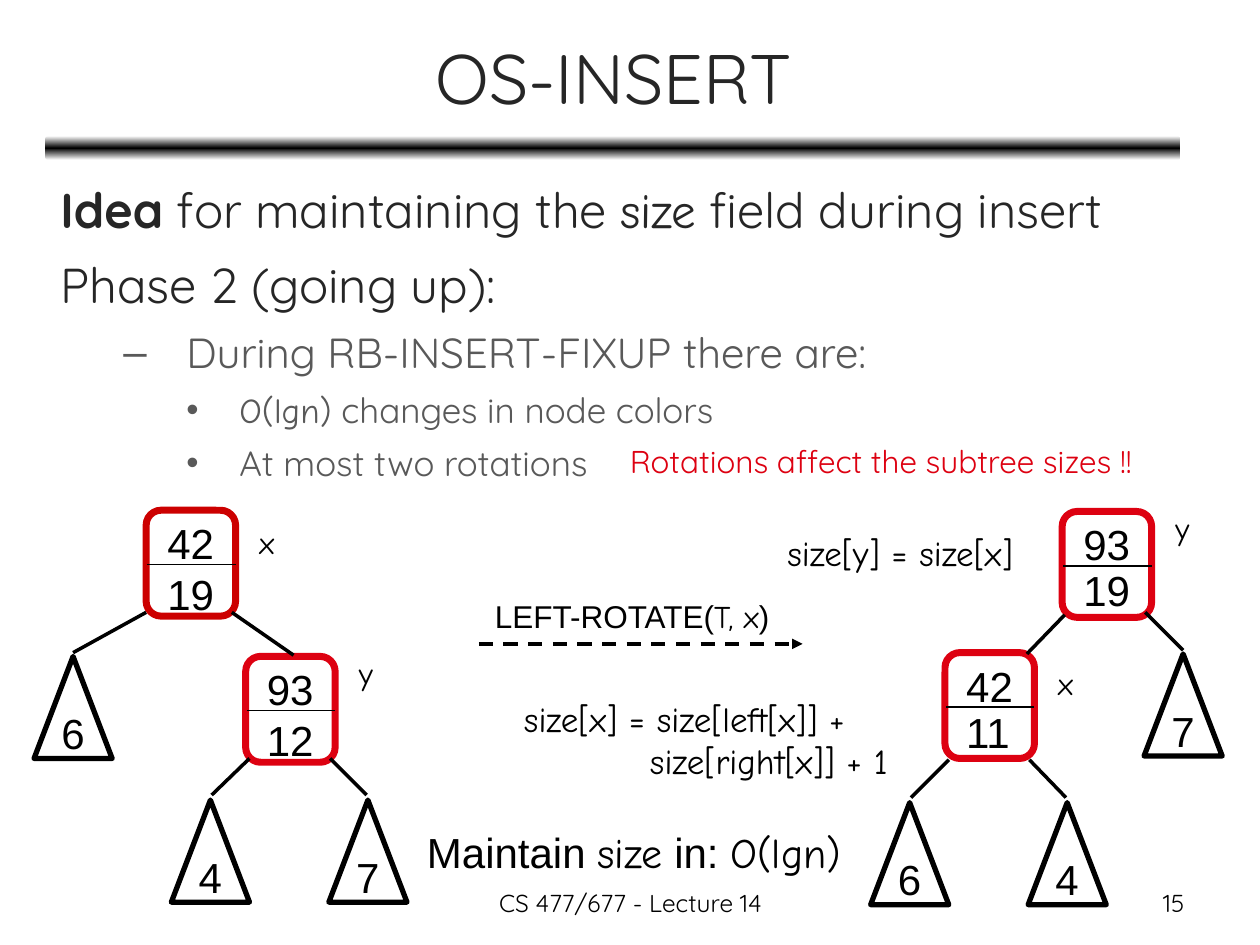
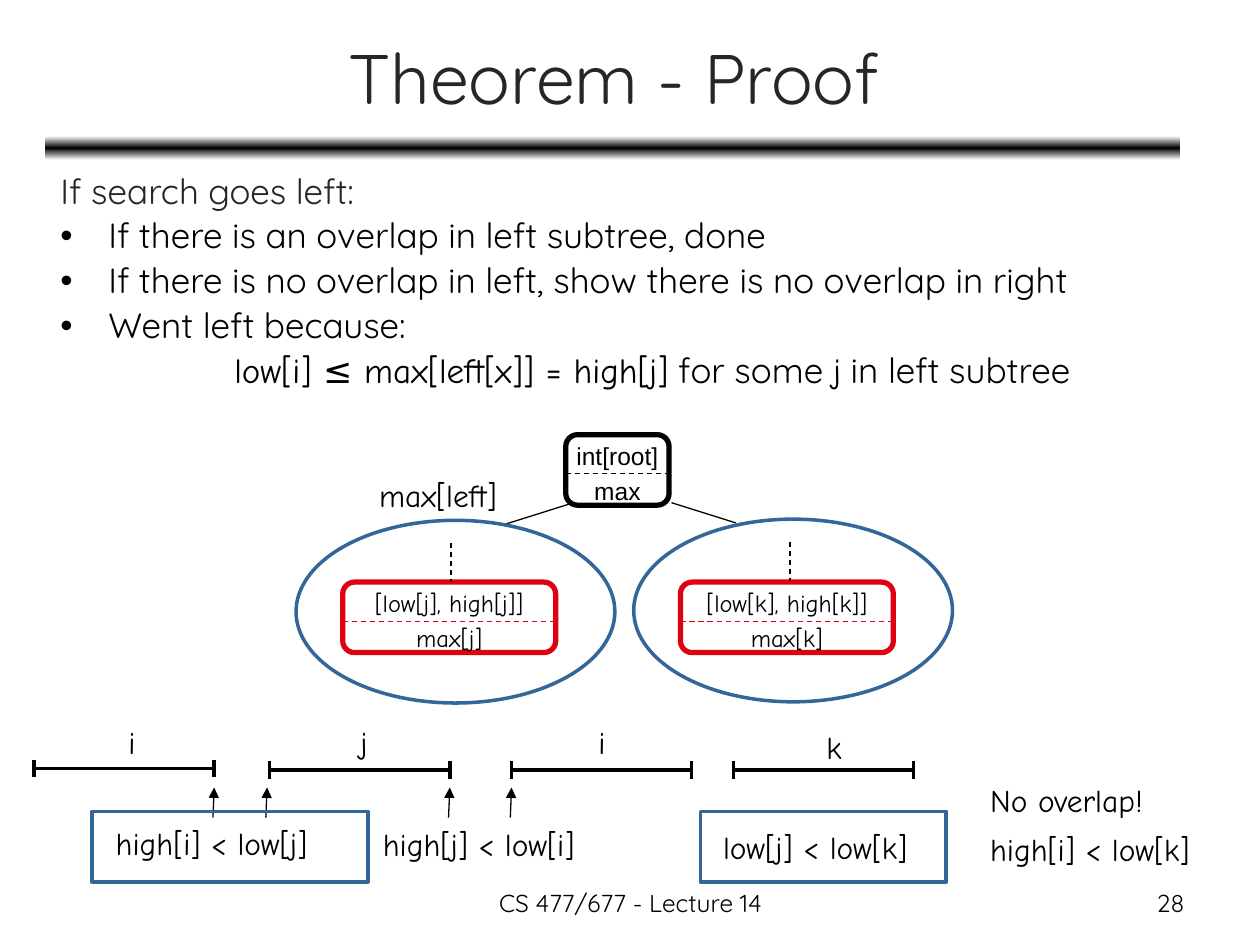
"""Build two lecture slides on augmented search trees."""
from copy import deepcopy

from lxml.etree import SubElement
from pptx import Presentation
from pptx.dml.color import RGBColor
from pptx.enum.dml import MSO_LINE
from pptx.enum.shapes import MSO_CONNECTOR, MSO_SHAPE as SHAPE
from pptx.enum.text import MSO_ANCHOR as ANCHOR, MSO_AUTO_SIZE as AUTO_SIZE, PP_ALIGN as ALIGN
from pptx.oxml.ns import qn
from pptx.util import Pt

EMU_PER_PX = 9144
COLORS = {
    "black": "000000", "white": "FFFFFF", "heading": "262626", "detail": "595959",
    "red": "DD0111", "dark red": "CC0000", "blue": "336699",
}
SANS, HAND, PLAIN = "Quicksand", "Comic Neue", "Arial"
BAR_STOPS = [(0, "white"), (0.5, "black"), (1, "white")]


def px(*lengths):
    return [length * EMU_PER_PX for length in lengths]


def rgb(name):
    return RGBColor.from_string(COLORS[name])


def write(frame, *runs, size=18, font=HAND, color="black", align=ALIGN.LEFT,
          spacing=None, level=0, margin=0, hanging=0, bullet=False):
    """Append a paragraph; a run is a string or a (string, font, bold) tuple."""
    paragraph = frame.add_paragraph() if frame.text else frame.paragraphs[0]
    paragraph.alignment = align
    paragraph.level = level
    if spacing:
        paragraph.line_spacing = spacing
    properties = paragraph._p.get_or_add_pPr()
    properties.set("marL", str(margin * EMU_PER_PX))
    properties.set("indent", str(-hanging * EMU_PER_PX))
    if not bullet:
        SubElement(properties, qn("a:buNone"))
    for item in runs:
        text, face, bold = (item, font, False) if isinstance(item, str) else item
        run = paragraph.add_run()
        run.text = text
        run.font.name = face
        run.font.size = Pt(size)
        run.font.bold = bold
        run.font.color.rgb = rgb(color)


def add_label(slide, box, *runs, wrap=False, **text_format):
    frame = slide.shapes.add_textbox(*px(*box)).text_frame
    frame.word_wrap = wrap
    frame.auto_size = AUTO_SIZE.NONE if wrap else AUTO_SIZE.SHAPE_TO_FIT_TEXT
    write(frame, *runs, **text_format)
    return frame


def add_outline(slide, kind, box, color="black", width=3, lines=(), **text_format):
    shape = slide.shapes.add_shape(kind, *px(*box))
    shape.shadow.inherit = False
    shape.fill.background()
    shape.line.color.rgb = rgb(color)
    shape.line.width = Pt(width)
    frame = shape.text_frame
    frame.word_wrap = False
    frame.vertical_anchor = ANCHOR.MIDDLE
    for line in lines:
        write(frame, line, align=ALIGN.CENTER, **text_format)


def add_line(slide, start, end, width=0.75, color="black", dashed=False, arrow=False):
    connector = slide.shapes.add_connector(MSO_CONNECTOR.STRAIGHT, *px(*start, *end))
    connector.line.color.rgb = rgb(color)
    connector.line.width = Pt(width)
    if dashed:
        connector.line.dash_style = MSO_LINE.DASH
    if arrow:
        SubElement(connector.line._get_or_add_ln(), qn("a:tailEnd"), type="triangle")
    SubElement(connector._element.spPr, qn("a:effectLst"))


def add_bar(slide):
    bar = slide.shapes.add_shape(SHAPE.ROUNDED_RECTANGLE, *px(36, 108, 901, 19))
    bar.shadow.inherit = False
    bar.line.fill.background()
    bar.fill.gradient()
    bar.fill.gradient_angle = 90
    stop_list = bar._element.spPr.find(".//" + qn("a:gsLst"))
    stop_list.append(deepcopy(stop_list[0]))
    for stop, (position, color) in zip(bar.fill.gradient_stops, BAR_STOPS):
        stop.position = position
        stop.color.rgb = rgb(color)


def place(placeholder, box):
    placeholder.left, placeholder.top, placeholder.width, placeholder.height = px(*box)
    frame = placeholder.text_frame
    frame.auto_size = AUTO_SIZE.NONE
    return frame


def start_slide(presentation, title, number, body_height):
    """Add a slide with its title, bar and footer; return it and its body frame."""
    slide = presentation.slides.add_slide(presentation.slide_layouts[1])
    add_bar(slide)
    heading = place(slide.shapes.title, (37, 11, 900, 99))
    heading.vertical_anchor = ANCHOR.MIDDLE
    write(heading, title, size=40, font=SANS, color="heading", align=ALIGN.CENTER)
    add_label(slide, (342, 700, 317, 35), "CS 477/677 - Lecture 14", wrap=True,
              size=14, font=SANS, align=ALIGN.CENTER)
    add_label(slide, (717, 700, 233, 35), str(number), wrap=True,
              size=14, font=SANS, align=ALIGN.RIGHT)
    return slide, place(slide.placeholders[1], (38, 133, 900, body_height))


def add_node(slide, left, top, key, count, name, name_drop, count_drop=41, color="red"):
    """Draw a tree node with its key above its subtree size."""
    add_outline(slide, SHAPE.ROUNDED_RECTANGLE, (left, top, 71, 84), color, width=4)
    for text, drop in ((key, 1), (count, count_drop)):
        add_label(slide, (left + 7, top + drop, 57, 50), text, size=24, font=PLAIN)
    add_line(slide, (left + 1, top + 43), (left + 71, top + 43), width=1)
    add_label(slide, (left + 80, top + name_drop, 34, 40), name)


def add_subtree(slide, left, top, count):
    add_outline(slide, SHAPE.ISOSCELES_TRIANGLE, (left, top, 62, 81), lines=[count],
                size=24, font=PLAIN)


def add_record(slide, left, top, width, lines, color, font):
    """Draw a two-line record split by a dashed line."""
    add_outline(slide, SHAPE.ROUNDED_RECTANGLE, (left, top, width, 56), color,
                lines=lines, size=14, font=font, spacing=1.2)
    add_line(slide, (left, top + 31), (left + width, top + 31), color=color, dashed=True)


def add_interval(slide, left, middle, name, name_left, name_top=569):
    right = left + 143
    add_line(slide, (left, middle), (right, middle), width=2)
    for end in (left, right):
        add_line(slide, (end, middle - 7), (end, middle + 7), width=2)
    add_label(slide, (name_left, name_top, 30, 40), name)


def build_insert_slide(presentation):
    slide, body = start_slide(presentation, "OS-INSERT", 15, 555)
    top_level = dict(size=28, font=SANS, color="heading", spacing=1.1, margin=58, hanging=58)
    detail = dict(font=SANS, color="detail", spacing=1.1, bullet=True)
    third_level = dict(detail, size=20, level=2, margin=142, hanging=42)
    write(body, ("Idea", SANS, True), " for maintaining the ", ("size", HAND, False),
          " field during insert", **top_level)
    write(body, "Phase 2 (going up):", **top_level)
    write(body, "During RB-INSERT-FIXUP there are:", size=24, level=1,
          margin=100, hanging=50, **detail)
    write(body, ("O(lgn)", HAND, False), " changes in node colors", **third_level)
    write(body, "At most two rotations", **third_level)
    add_label(slide, (490, 346, 441, 40), "Rotations affect the subtree sizes !!",
              font=SANS, color="red")

    add_node(slide, 116, 405, "42", "19", "x", 5, color="dark red")
    add_node(slide, 195, 521, "93", "12", "y", -7)
    add_node(slide, 843, 406, "93", "19", "y", -7, count_drop=37)
    add_node(slide, 750, 518, "42", "11", "x", 4, count_drop=38)
    for left, top, count in ((27, 521, "6"), (136, 635, "4"), (261, 635, "7"),
                             (908, 519, "7"), (691, 637, "6"), (816, 637, "4")):
        add_subtree(slide, left, top, count)
    for start, end in (((116, 486), (58, 518)), ((184, 486), (233, 520)),
                       ((262, 602), (291, 631)), ((198, 602), (168, 631)),
                       ((909, 486), (939, 516)), ((845, 488), (815, 519)),
                       ((817, 603), (846, 633)), ((753, 603), (723, 633))):
        add_line(slide, start, end, width=2)

    add_label(slide, (383, 469, 254, 40), "LEFT-ROTATE(", ("T, x", HAND, False), ")",
              font=PLAIN)
    add_line(slide, (380, 511), (637, 511), width=2, dashed=True, arrow=True)
    add_label(slide, (615, 417, 218, 43), "size[y] = size[x]", wrap=True, size=20)
    formula = add_label(slide, (406, 549, 345, 77), "size[x] = size[left[x]] +",
                        wrap=True, size=20)
    write(formula, "size[right[x]] + 1", size=20, margin=100)
    add_label(slide, (329, 651, 366, 50), "Maintain ", ("size", HAND, False), " in: ",
              ("O(lgn)", HAND, False), size=24, font=PLAIN)


def build_proof_slide(presentation):
    slide, body = start_slide(presentation, "Theorem - Proof", 28, 246)
    body_format = dict(size=20, font=SANS, spacing=0.9)
    write(body, "If search goes left:", color="heading", margin=38, hanging=38, **body_format)
    for text in ("If there is an overlap in left subtree, done",
                 "If there is no overlap in left, show there is no overlap in right",
                 "Went left because:"):
        write(body, text, margin=38, hanging=38, bullet=True, **body_format)
    write(body, ("low[i] ≤ max[left[x]] = high[j]", HAND, False), " for some ",
          ("j", HAND, False), " in left subtree", margin=138, **body_format)

    add_record(slide, 449, 345, 82, ["int[root]", "max"], "black", PLAIN)
    add_line(slide, (452, 400), (398, 417))
    add_line(slide, (533, 399), (584, 415))
    add_label(slide, (291, 373, 131, 40), "max[left]")
    for left, top, name, stem in ((235, 413, "j", 358), (503, 412, "k", 627)):
        add_outline(slide, SHAPE.OVAL, (left, top, 253, 145), "blue", width=2)
        add_record(slide, left + 37, 462, 169, [f"[low[{name}], high[{name}]]", f"max[{name}]"],
                   "red", HAND)
        add_line(slide, (stem, top + 18), (stem, top + 49), dashed=True)

    add_interval(slide, 27, 610, "i", 92)
    add_interval(slide, 214, 611, "j", 276)
    add_interval(slide, 406, 611, "i", 465)
    add_interval(slide, 582, 611, "k", 646, name_top=573)
    for tip in (170, 212, 357, 406):
        add_line(slide, (tip - 1, 649), (tip, 625), arrow=True)
    for left, width in ((73, 219), (556, 195)):
        add_outline(slide, SHAPE.RECTANGLE, (left, 644, width, 56), "blue", width=2)
    for left, top, text in ((82, 649, "high[i] < low[j]"), (294, 650, "high[j] < low[i]"),
                            (564, 652, "low[j] < low[k]")):
        add_label(slide, (left, top, 195, 40), text, wrap=True)
    conclusion = add_label(slide, (776, 606, 212, 88), "No overlap!", wrap=True, spacing=1.3)
    write(conclusion, "high[i] < low[k]", spacing=1.3)


def main():
    presentation = Presentation()
    presentation.slide_width, presentation.slide_height = px(1000, 750)
    build_insert_slide(presentation)
    build_proof_slide(presentation)
    presentation.save("out.pptx")


if __name__ == "__main__":
    main()
